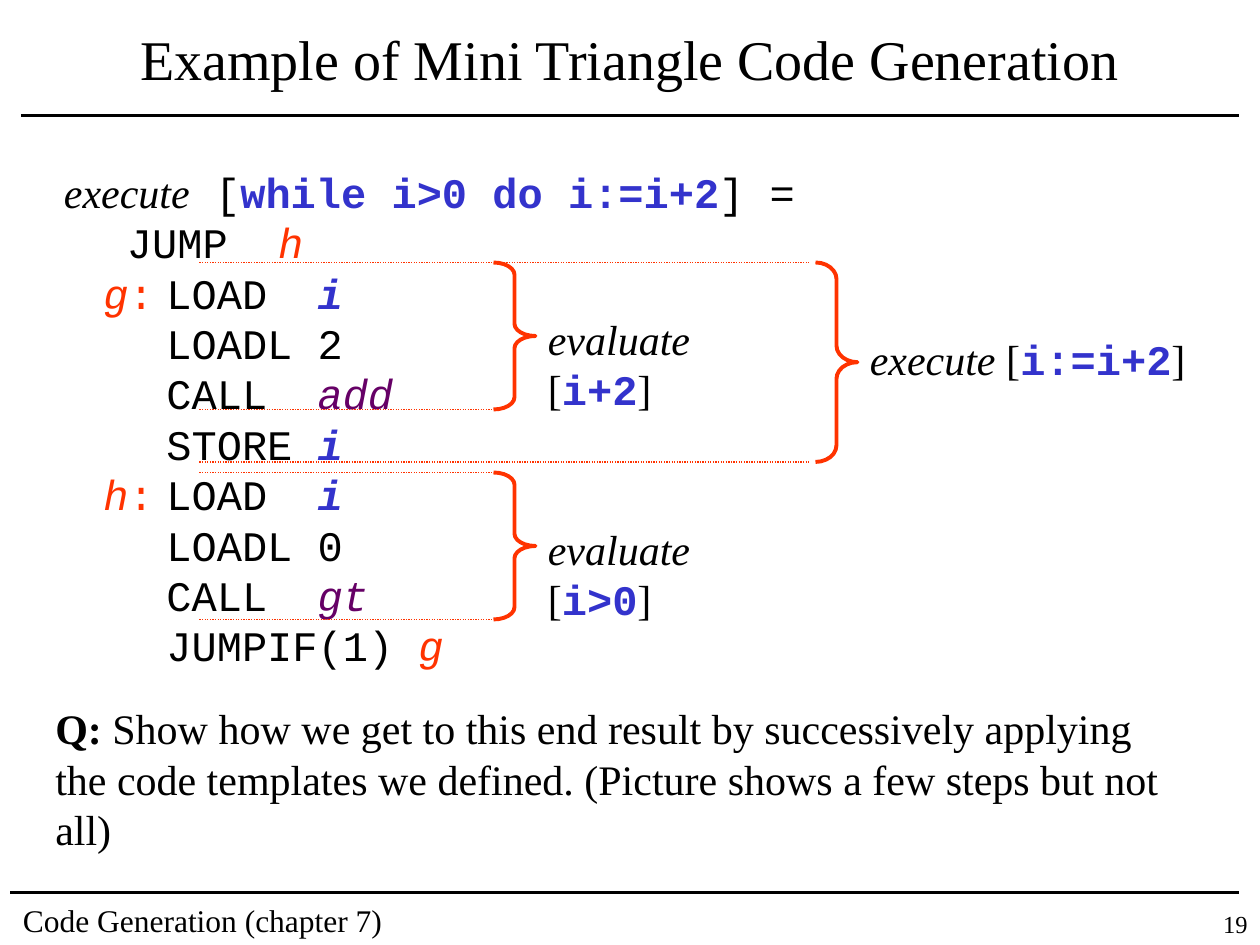
from lxml.etree import SubElement
from pptx import Presentation
from pptx.dml.color import RGBColor
from pptx.enum.dml import MSO_LINE
from pptx.enum.shapes import MSO_CONNECTOR, MSO_SHAPE
from pptx.enum.text import MSO_ANCHOR, MSO_AUTO_SIZE, PP_ALIGN
from pptx.oxml.ns import qn
from pptx.util import Pt

COLORS = {"text": "000000", "source": "3333CC", "accent": "FF3300", "routine": "660066"}
SERIF, MONO = "Times New Roman", "Courier New"

STYLES = {
    "serif": (SERIF, "text", False, False),
    "serif bold": (SERIF, "text", True, False),
    "phrase": (SERIF, "text", False, True),
    "code": (MONO, "text", False, False),
    "source": (MONO, "source", True, False),
    "variable": (MONO, "source", True, True),
    "label": (MONO, "accent", False, True),
    "colon": (MONO, "accent", False, False),
    "routine": (MONO, "routine", False, True),
}

HEADING = [("execute", "phrase"), (" [", "code"), ("while i>0 do i:=i+2", "source"), ("] =", "code")]
INSTRUCTIONS = [
    ("g", "LOAD  ", "i", "variable"),
    ("", "LOADL 2", "", "code"),
    ("", "CALL  ", "add", "routine"),
    ("", "STORE ", "i", "variable"),
    ("h", "LOAD  ", "i", "variable"),
    ("", "LOADL 0", "", "code"),
    ("", "CALL  ", "gt", "routine"),
    ("", "JUMPIF(1) ", "g", "label"),
]


def color(name):
    """Return the named colour."""
    return RGBColor.from_string(COLORS[name])


def add_text(slide, box, lines, size=24, align=PP_ALIGN.LEFT, wrap=True, tab=None, indents=None):
    """Add a text box whose lines are lists of (text, style) runs."""
    shape = slide.shapes.add_textbox(*map(Pt, box))
    frame = shape.text_frame
    frame.word_wrap = wrap
    frame.auto_size = MSO_AUTO_SIZE.NONE if wrap else MSO_AUTO_SIZE.SHAPE_TO_FIT_TEXT
    for index, runs in enumerate(lines):
        paragraph = frame.paragraphs[0] if index == 0 else frame.add_paragraph()
        paragraph.alignment = align
        properties = paragraph._p.get_or_add_pPr()
        if indents:
            properties.set("marL", str(Pt(indents[index])))
            properties.set("indent", "0")
        if tab:
            tabs = SubElement(properties, qn("a:tabLst"))
            SubElement(tabs, qn("a:tab"), pos=str(Pt(tab)), algn="l")
        paragraph.font.size = Pt(size)
        for text, style in runs:
            run = paragraph.add_run()
            run.text = text
            run.font.name, color_name, run.font.bold, run.font.italic = STYLES[style]
            run.font.color.rgb = color(color_name)
    return shape


def add_rule(slide, left, right, y, color_name="text", width=2.25, dash=None):
    """Draw a horizontal line."""
    rule = slide.shapes.add_connector(MSO_CONNECTOR.STRAIGHT, Pt(left), Pt(y), Pt(right), Pt(y))
    rule.line.color.rgb = color(color_name)
    rule.line.width = Pt(width)
    if dash:
        rule.line.dash_style = dash
    SubElement(rule._element.spPr, qn("a:effectLst"))


def add_header(slide, left, top, width, height):
    """Place the centred title and the rule below it."""
    title = add_text(slide, (left + 6, top, width - 12, height),
                     [[("Example of Mini Triangle Code Generation", "serif")]], 32, PP_ALIGN.CENTER)
    title.text_frame.vertical_anchor = MSO_ANCHOR.MIDDLE
    add_rule(slide, left, left + width, top + height + 6)


def add_footer(slide, left, top, width):
    """Place the footer rule, the chapter name and the page number."""
    add_rule(slide, left, left + width - 12, top)
    add_text(slide, (left, top + 1.2, 276, 28.8), [[("Code Generation (chapter 7)", "serif")]], 18)
    add_text(slide, (left + width - 54, top + 6, 54, 24), [[("19", "serif")]], 14, PP_ALIGN.RIGHT)


def add_listing(slide, left, top, width, height):
    """Place the generated code with its labels and tabbed instructions."""
    lines = [HEADING, [("\tJUMP  ", "code"), ("h", "label")]]
    for label, operation, operand, style in INSTRUCTIONS:
        runs = [(label, "label"), (":", "colon")] if label else []
        runs.append(("\t" + operation, "code"))
        if operand:
            runs.append((operand, style))
        lines.append(runs)
    indents = [0, 0] + [22.5] * len(INSTRUCTIONS)
    add_text(slide, (left, top, width, height), lines, wrap=False, tab=72, indents=indents)


def add_brace(slide, left, top, width, height, phrase, source, label_width, label_rise):
    """Draw a right brace and the labelled phrase beside its point."""
    brace = slide.shapes.add_shape(MSO_SHAPE.RIGHT_BRACE, Pt(left), Pt(top), Pt(width), Pt(height))
    brace.adjustments[0] = height / 12 / width
    brace.shadow.inherit = False
    brace.fill.background()
    brace.line.color.rgb = color("accent")
    brace.line.width = Pt(2.25)
    runs = [(phrase, "phrase"), (" [", "serif"), (source, "source"), ("]", "serif")]
    label_top = top + height / 2 - label_rise
    add_text(slide, (left + width, label_top, label_width, 36), [runs], wrap=False)


def add_annotations(slide, left, top):
    """Mark the code ranges with dotted guides and braces."""
    for length, offset in [(348, 0), (168, 84), (348, 114), (168, 120), (168, 204)]:
        add_rule(slide, left, left + length, top + offset, "accent", 0.75, MSO_LINE.ROUND_DOT)
    for offset, source in [(0, "i+2"), (120, "i>0")]:
        add_brace(slide, left + 168, top + offset, 24, 84, "evaluate", source, 160.5, 16.5)
    add_brace(slide, left + 352, top, 24, 114, "execute", "i:=i+2", 194.5, 20)


def add_question(slide, left, top, width, height):
    """Place the exercise question."""
    add_text(slide, (left, top, width, height), [
        [("Q: ", "serif bold"),
         ("Show how we get to this end result by successively applying", "serif")],
        [("the code templates we defined. (Picture shows a few steps but not all)", "serif")],
    ])


def main():
    """Build and save the slide."""
    presentation = Presentation()
    presentation.slide_width, presentation.slide_height = Pt(720), Pt(540)
    slide = presentation.slides.add_slide(presentation.slide_layouts[6])
    add_header(slide, 12, 6, 696, 54)
    add_listing(slide, 29.5, 91.5, 432, 295)
    add_annotations(slide, 114, 150)
    add_question(slide, 24.5, 398, 675, 94)
    add_footer(slide, 6, 510, 714)
    presentation.save("out.pptx")


if __name__ == "__main__":
    main()
